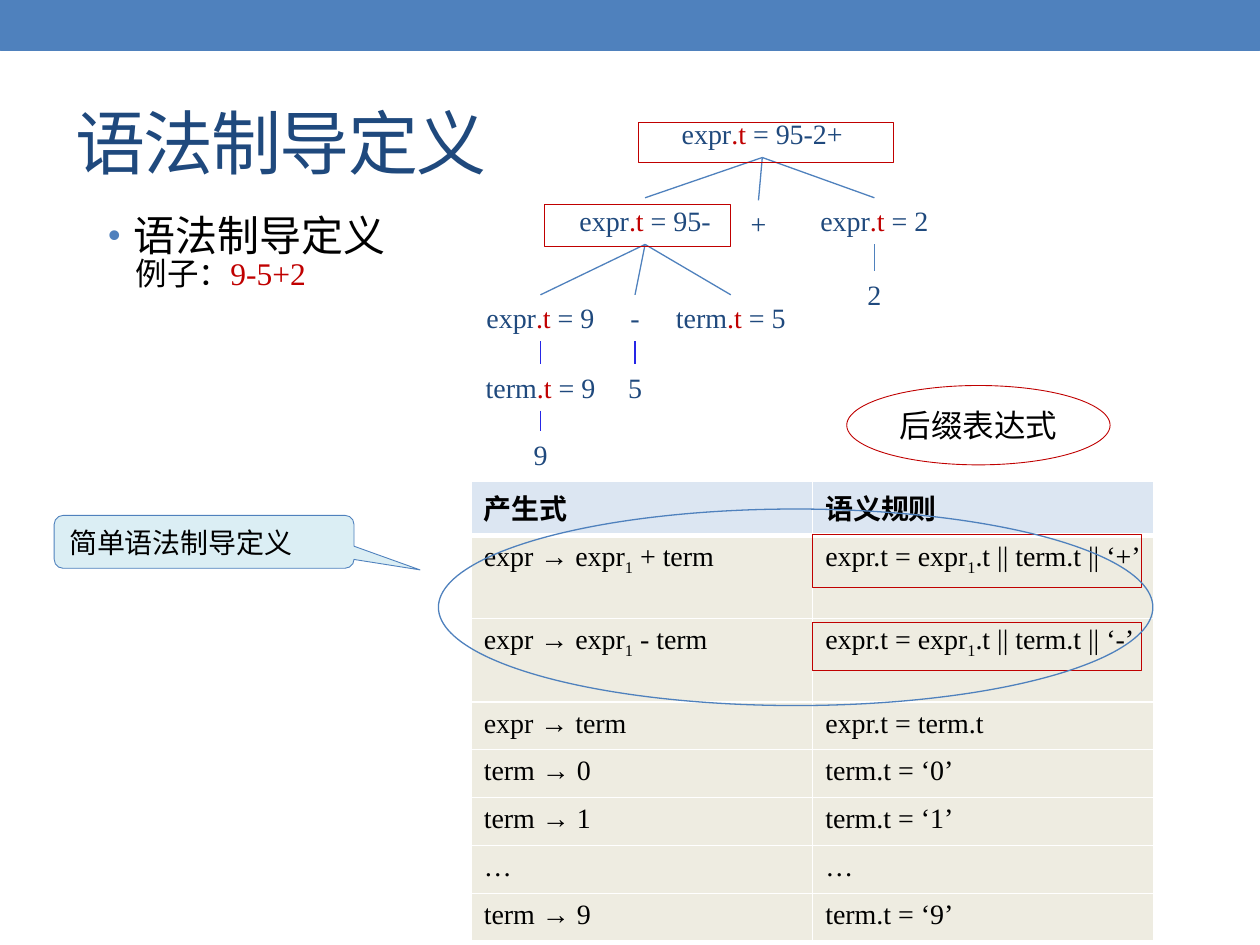
from dataclasses import dataclass
from typing import Optional

from lxml.etree import SubElement
from pptx import Presentation
from pptx.dml.color import RGBColor
from pptx.enum.shapes import MSO_CONNECTOR, MSO_SHAPE as Preset
from pptx.enum.text import MSO_ANCHOR as Anchor, PP_ALIGN as Align
from pptx.oxml.ns import qn
from pptx.util import Inches, Pt

COLOURS = {"blue": "4F81BD", "navy": "1F497D", "red": "C00000", "black": "000000",
           "violet": "2626E6", "header": "DCE6F2", "body": "EEECE1",
           "callout": "DBEEF4", "white": "FFFFFF", "bullet": "4F80BD"}
SERIF, SANS, CJK = "Times New Roman", "Arial", "Noto Sans CJK SC"
COLUMNS, ROWS = 100, 75
BOTTOM, TOP = 2, 0


@dataclass(frozen=True)
class Place:
    column: float
    row: float
    columns: float
    rows: float


@dataclass(frozen=True)
class Style:
    size: float
    colour: str = "black"
    font: str = SERIF
    bold: bool = False
    baseline: int = 0
    spacing: int = 0


@dataclass(frozen=True)
class Node:
    name: str
    text: str
    centre: float
    row: float
    columns: float = 17.6
    parent: Optional[str] = None
    edge: str = "blue"


@dataclass(frozen=True)
class Figure:
    preset: Preset
    place: Place
    line: str = "red"
    weight: float = 0.5
    fill: Optional[str] = None
    text: str = ""
    style: Style = Style(16)
    align: Align = Align.LEFT
    adjustments: tuple = ()


NODES = (
    Node("root", "expr|.t| = 95-2+", 60.5, 8.8),
    Node("left", "expr|.t| = 95-", 51.2, 15.7, parent="root"),
    Node("plus", "+", 60.2, 15.9, 4.6, "root"),
    Node("right", "expr|.t| = 2", 69.4, 15.7, parent="root"),
    Node("inner", "expr|.t| = 9", 42.9, 23.4, parent="left"),
    Node("minus", "-", 50.4, 23.4, 5.6, "left"),
    Node("term five", "term|.t| = 5", 58, 23.4, 12.3, "left"),
    Node("term nine", "term|.t| = 9", 42.9, 28.9, 12.3, "inner", "violet"),
    Node("nine", "9", 42.9, 34.2, 12.3, "term nine", "violet"),
    Node("five", "5", 50.4, 28.9, 3.9, "minus", "violet"),
    Node("two", "2", 69.4, 21.5, 4.4, "right"),
)

RULES = (
    ("产生式", "语义规则"),
    ("expr → expr|1| + term", "expr.t = expr|1|.t || term.t || ‘+’"),
    ("expr → expr|1| - term", "expr.t = expr|1|.t || term.t || ‘-’"),
    ("expr → term", "expr.t = term.t"),
    ("term → 0", "term.t = ‘0’"),
    ("term → 1", "term.t = ‘1’"),
    ("…", "…"),
    ("term → 9", "term.t = ‘9’"),
)
RULE_HEIGHTS = (4.3, 6.6, 6.6) + (3.8,) * 5

FIGURES = (
    Figure(Preset.OVAL, Place(67.2, 30.6, 20.9, 6.3), text="后缀表达式",
           style=Style(18, font=CJK), align=Align.CENTER),
    Figure(Preset.RECTANGLE, Place(64.5, 42.4, 26.1, 4.2)),
    Figure(Preset.RECTANGLE, Place(64.5, 49.4, 26.1, 3.8)),
    Figure(Preset.RECTANGLE, Place(50.7, 9.7, 20.2, 3.2)),
    Figure(Preset.RECTANGLE, Place(43.2, 16.2, 14.8, 3.4)),
    Figure(Preset.ROUNDED_RECTANGULAR_CALLOUT, Place(4.3, 40.9, 23.8, 4.2), "blue",
           fill="callout", text="简单语法制导定义", style=Style(16, font=SANS),
           adjustments=(0.72, 0.53, 0.17)),
    Figure(Preset.OVAL, Place(34.8, 40.4, 56.7, 15.6), "blue", 0.75),
)

deck = Presentation()
deck.slide_width, deck.slide_height = Inches(10), Inches(7.5)
page = deck.slides.add_slide(deck.slide_layouts[6])


def rgb(name: str) -> RGBColor:
    return RGBColor.from_string(COLOURS[name])


def across(columns: float) -> int:
    return round(deck.slide_width * columns / COLUMNS)


def down(rows: float) -> int:
    return round(deck.slide_height * rows / ROWS)


def bounds(place: Place) -> tuple:
    return across(place.column), down(place.row), across(place.columns), down(place.rows)


def add_span(para, text: str, style: Style) -> None:
    span = para.add_run()
    span.text = text
    span.font.size, span.font.bold, span.font.name = Pt(style.size), style.bold, style.font
    span.font.color.rgb = rgb(style.colour)
    properties = span._r.get_or_add_rPr()
    SubElement(properties, qn("a:ea")).set("typeface", CJK)
    if style.baseline:
        properties.set("baseline", str(style.baseline))
    if style.spacing:
        properties.set("spc", str(style.spacing))


def add_spans(para, text: str, plain: Style, accent: Style) -> None:
    parts = text.replace("||", "\0").split("|")
    for index, part in enumerate(parts):
        add_span(para, part.replace("\0", "||"), accent if index % 2 else plain)


def add_box(place: Place, anchor: Anchor = Anchor.TOP):
    box = page.shapes.add_textbox(*bounds(place))
    box.text_frame.word_wrap = True
    box.text_frame.vertical_anchor = anchor
    return box


def draw_headings() -> None:
    band = Figure(Preset.RECTANGLE, Place(0, 0, COLUMNS, 4), "blue", fill="blue")
    draw_figure(band)
    title = add_box(Place(5, 5.8, 90, 10.8), Anchor.MIDDLE)
    add_span(title.text_frame.paragraphs[0], "语法制导定义", Style(40, "navy", spacing=-100))
    frame = add_box(Place(7.6, 16.6, 73.2, 17.2)).text_frame
    topic, example = frame.paragraphs[0], frame.add_paragraph()
    topic.line_spacing, example.line_spacing = 0.9, 0.83
    layout = topic._p.get_or_add_pPr()
    layout.set("marL", str(across(2)))
    layout.set("indent", str(-across(2)))
    SubElement(SubElement(layout, qn("a:buClr")), qn("a:srgbClr")).set("val", COLOURS["bullet"])
    SubElement(layout, qn("a:buSzPct")).set("val", "85000")
    SubElement(layout, qn("a:buFont")).set("typeface", SANS)
    SubElement(layout, qn("a:buChar")).set("char", "•")
    add_span(topic, "语法制导定义", Style(24))
    example._p.get_or_add_pPr().set("marL", str(across(2.2)))
    add_spans(example, "例子：|9-5+2", Style(18), Style(18, "red"))


def draw_tree(nodes: tuple) -> None:
    boxes = {}
    for node in nodes:
        box = add_box(Place(node.centre - node.columns / 2, node.row, node.columns, 3.7))
        para = box.text_frame.paragraphs[0]
        para.alignment = Align.CENTER
        add_spans(para, node.text, Style(16, "navy"), Style(16, "red"))
        boxes[node.name] = box
    for node in nodes:
        if node.parent:
            edge = page.shapes.add_connector(MSO_CONNECTOR.STRAIGHT, 0, 0, 0, 0)
            edge.begin_connect(boxes[node.parent], BOTTOM)
            edge.end_connect(boxes[node.name], TOP)
            edge.line.color.rgb, edge.line.width = rgb(node.edge), Pt(0.75)
            SubElement(edge._element.spPr, qn("a:effectLst"))


def draw_border(cell, side: str, weight: float) -> None:
    border = SubElement(cell._tc.get_or_add_tcPr(), qn(f"a:ln{side}"), w=str(Pt(weight)))
    SubElement(SubElement(border, qn("a:solidFill")), qn("a:srgbClr")).set("val", COLOURS["white"])


def draw_rules() -> None:
    place = Place(37.4, 38.2, 54.2, sum(RULE_HEIGHTS))
    table = page.shapes.add_table(len(RULES), 2, *bounds(place)).table
    for index, (texts, height) in enumerate(zip(RULES, RULE_HEIGHTS)):
        table.rows[index].height = down(height)
        header = index == 0
        for cell, text in zip(table.rows[index].cells, texts):
            for side in "LRTB":
                thick = (header and side == "B") or (index == 1 and side == "T")
                draw_border(cell, side, 3 if thick else 1)
            cell.fill.solid()
            cell.fill.fore_color.rgb = rgb("header" if header else "body")
            add_spans(cell.text_frame.paragraphs[0], text, Style(16, bold=header),
                      Style(16, baseline=-25000))


def draw_figure(figure: Figure) -> None:
    shape = page.shapes.add_shape(figure.preset, *bounds(figure.place))
    shape.shadow.inherit = False
    for index, value in enumerate(figure.adjustments):
        shape.adjustments[index] = value
    if figure.fill:
        shape.fill.solid()
        shape.fill.fore_color.rgb = rgb(figure.fill)
    else:
        shape.fill.background()
    shape.line.color.rgb, shape.line.width = rgb(figure.line), Pt(figure.weight)
    if figure.text:
        para = shape.text_frame.paragraphs[0]
        para.alignment = figure.align
        add_span(para, figure.text, figure.style)


def main() -> None:
    """Build the syntax-directed definition slide and save it."""
    draw_headings()
    draw_tree(NODES)
    draw_rules()
    for figure in FIGURES:
        draw_figure(figure)
    deck.save("out.pptx")


if __name__ == "__main__":
    main()
